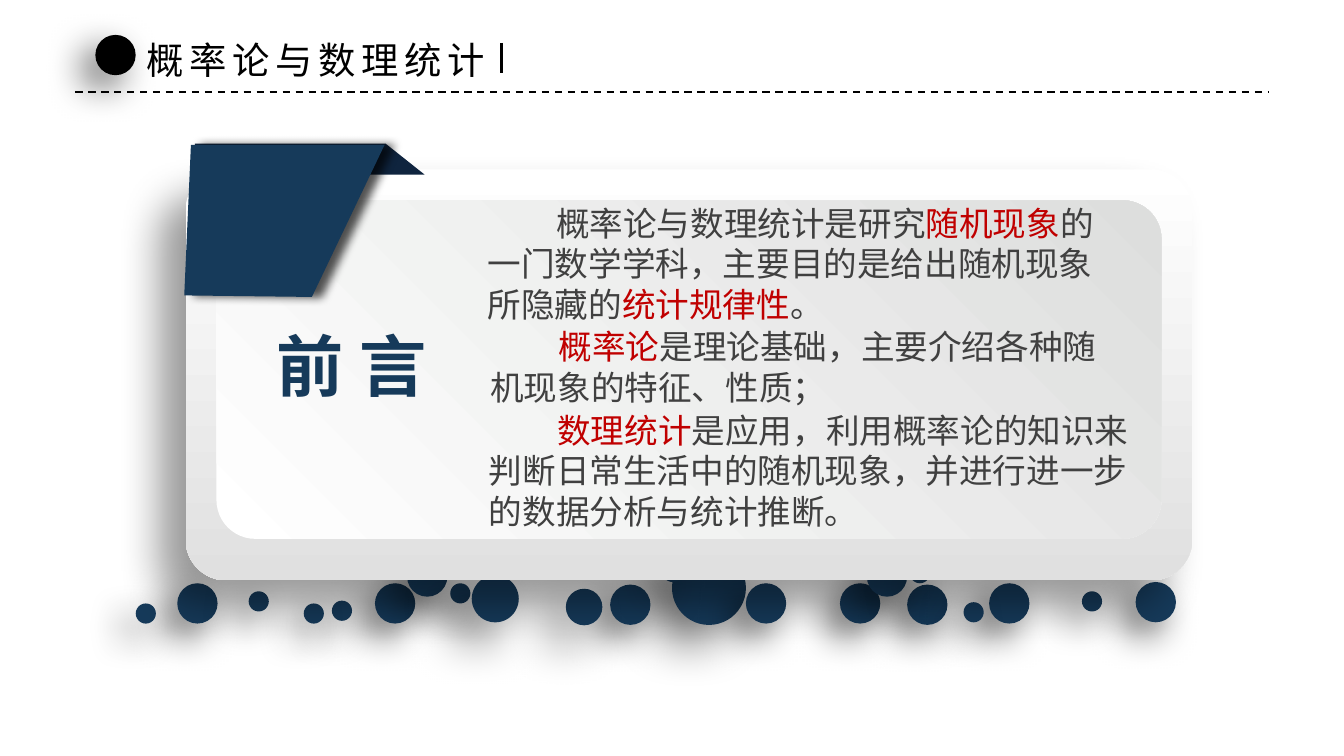
from pptx import Presentation
from pptx.dml.color import RGBColor as RGB
from pptx.enum.dml import MSO_LINE_DASH_STYLE as Dash
from pptx.enum.shapes import MSO_CONNECTOR as Link, MSO_SHAPE as Kind
from pptx.enum.text import MSO_ANCHOR as Anchor, MSO_AUTO_SIZE as Fit, PP_ALIGN as Align
from pptx.oxml.ns import qn
from pptx.util import Pt
from lxml.etree import SubElement as Sub

COLORS = {"navy": "163A5A", "dark": "0F243E", "black": "000000",
          "text": "404040", "red": "C00000", "white": "FFFFFF",
          "gray": "E0E0E0", "mist": "DDDEDD"}
HAN = "Noto Sans CJK SC"

# Dots by (size, shadow): left and top within the strip
DOTS = {
    (39.6, (50, 25, 15, 135)): [(287.3, 0)],
    (21.6, (60, 20, 10, 135)): [
        (377.3, 17.3), (128.2, 17.3), (413.3, 18), (457.2, 17.3), (254.2, 18),
        (391.7, 2.9), (326.9, 17.3), (22.3, 17.3), (145.4, 2.9), (535.7, 16.6)],
    (10.8, (60, 20, 10, 135)): [
        (105.1, 26.6), (168.5, 17.3), (443.5, 27.4), (506.9, 21.6), (90, 28.1),
        (282.2, 5.8), (0, 28.1), (60.5, 21.6), (414.7, 6.5)],
    (19.6, (50, 25, 15, 135)): [(230.4, 20.2)],
    (25.2, (50, 25, 15, 135)): [(180, 13)],
}

# Paragraphs: left, top, width, height within the card, then coloured runs
NOTES = [
    ((154.8, 14.4, 352.8, 72.7), [
        ("text", "概率论与数理统计是研究"), ("red", "随机现象"),
        ("text", "的一门数学学科，主要目的是给出随机现象所隐藏的"),
        ("red", "统计规律性"), ("text", "。")]),
    ((156.2, 80.6, 352.8, 51.1), [
        ("red", "概率论"),
        ("text", "是理论基础，主要介绍各种随机现象的特征、性质；")]),
    ((155.5, 125.3, 360, 72.7), [
        ("red", "数理统计"),
        ("text", "是应用，利用概率论的知识来判断日常生活中的随机现象，"
                 "并进行进一步的数据分析与统计推断。")]),
]


def color(name):
    return RGB.from_string(COLORS[name])


def shade(shape, glow):
    """Outer shadow: opacity %, blur, distance, angle."""
    shape.shadow.inherit = False
    if glow:
        alpha, blur, dist, turn = glow
        root = shape._element.spPr.find(qn("a:effectLst"))
        drop = Sub(root, qn("a:outerShdw"), blurRad=str(Pt(blur)), dist=str(Pt(dist)),
                   dir=str(turn * 60000), algn="ctr", rotWithShape="0")
        tint = Sub(drop, qn("a:srgbClr"), val=COLORS["black"])
        Sub(tint, qn("a:alpha"), val=str(alpha * 1000))


def paint(shape, fill, glow=None):
    shape.fill.solid()
    shape.fill.fore_color.rgb = color(fill)
    shape.line.fill.background()
    shade(shape, glow)


def disc(shapes, x, y, size, fill, glow):
    dot = shapes.add_shape(Kind.OVAL, Pt(x), Pt(y), Pt(size), Pt(size))
    paint(dot, fill, glow)


def panel(shapes, box, adj, end, angle, glow=None):
    card = shapes.add_shape(Kind.ROUNDED_RECTANGLE, *map(Pt, box))
    card.adjustments[0] = adj
    card.fill.gradient()
    card.fill.gradient_angle = angle
    for stop, name in zip(card.fill.gradient_stops, ("white", end)):
        stop.color.rgb = color(name)
    card.line.fill.background()
    shade(card, glow)


def rule(shapes, ends, width, dash=None):
    line = shapes.add_connector(Link.STRAIGHT, *map(Pt, ends))
    line.line.color.rgb = color("black")
    line.line.width = Pt(width)
    if dash:
        line.line.dash_style = dash
    Sub(line._element.spPr, qn("a:effectLst"))


def style(par, size, face, name=None):
    par.font.size = Pt(size)
    par.font.name = face
    if name:
        par.font.color.rgb = color(name)


def frame(shapes, box):
    text = shapes.add_textbox(*map(Pt, box)).text_frame
    text.word_wrap = True
    text.auto_size = Fit.SHAPE_TO_FIT_TEXT
    return text


def flap(shapes, x, y, points, fill, glow=None):
    spots = [(Pt(x + a), Pt(y + b)) for a, b in points]
    path = shapes.build_freeform(*spots[0], scale=1.0)
    path.add_line_segments(spots[1:], close=True)
    paint(path.convert_to_shape(), fill, glow)


def header(slide, x, y, wide):
    title = slide.shapes.title
    title.left, title.top, title.width, title.height = map(
        Pt, (x + 20.2, y - 2.2, 202.3, 31.7))
    text = title.text_frame
    text.text = "概率论与数理统计"
    text.word_wrap = True
    text.auto_size = Fit.NONE
    text.vertical_anchor = Anchor.TOP
    par = text.paragraphs[0]
    par.alignment = Align.LEFT
    style(par, 20, HAN, "black")
    par.font._element.set("spc", "300")
    rule(slide.shapes, (x - 10.8, y + 30.5, x - 10.8 + wide, y + 30.5), 1, Dash.DASH)
    disc(slide.shapes, x, y, 21.6, "black", (60, 20, 10, 135))
    rule(slide.shapes, (x + 217.5, y + 4.3, x + 217.5, y + 20.2), 1.5)


def strip(slide, x, y):
    for (size, glow), spots in DOTS.items():
        for a, b in spots:
            disc(slide.shapes, x + a, y + b, size, "navy", glow)


def board(slide, x, y, wide, high):
    shapes = slide.shapes
    # Raised frame with its inner sheet
    group = shapes.add_group_shape().shapes
    panel(group, (x, y, wide, high), 0.1, "gray", 270, (40, 22, 20, 135))
    panel(group, (x + 16.6, y + 16.6, wide - 33.1, high - 38.9), 0.115, "mist", 45)
    # Heading
    text = frame(shapes, (x + 23, y + 88.6, 131.8, 40.3))
    text.margin_left = text.margin_right = Pt(5)
    text.margin_top = text.margin_bottom = Pt(2.9)
    par = text.paragraphs[0]
    par.text = "前 言"
    par.alignment = Align.CENTER
    par.line_spacing = 0.8
    style(par, 36, HAN, "navy")
    par.font.bold = True
    # Folded ribbon
    flap(shapes, x + 5, y - 13.7, [(0, 0), (102.2, 0), (123.1, 16.6), (0, 16.6)], "dark")
    flap(shapes, x - 0.7, y - 13, [(3.6, 0), (107.3, 0), (68.4, 81.4), (0, 80.6)],
         "navy", (67, 5, 5, 0))
    # Body paragraphs
    for (a, b, w, h), runs in NOTES:
        par = frame(shapes, (x + a, y + b, w, h)).paragraphs[0]
        par._p.get_or_add_pPr().set("indent", str(Pt(36.6)))
        style(par, 18, "Calibri")
        for name, words in runs:
            run = par.add_run()
            run.text = words
            run.font.color.rgb = color(name)


def main():
    deck = Presentation()
    deck.slide_width, deck.slide_height = Pt(720), Pt(405)
    slide = deck.slides.add_slide(deck.slide_layouts[5])
    strip(slide, 72.7, 295.2)
    header(slide, 51.1, 18.7, 639.4)
    board(slide, 99.4, 90.7, 539.3, 220.3)
    deck.save("out.pptx")


if __name__ == "__main__":
    main()
